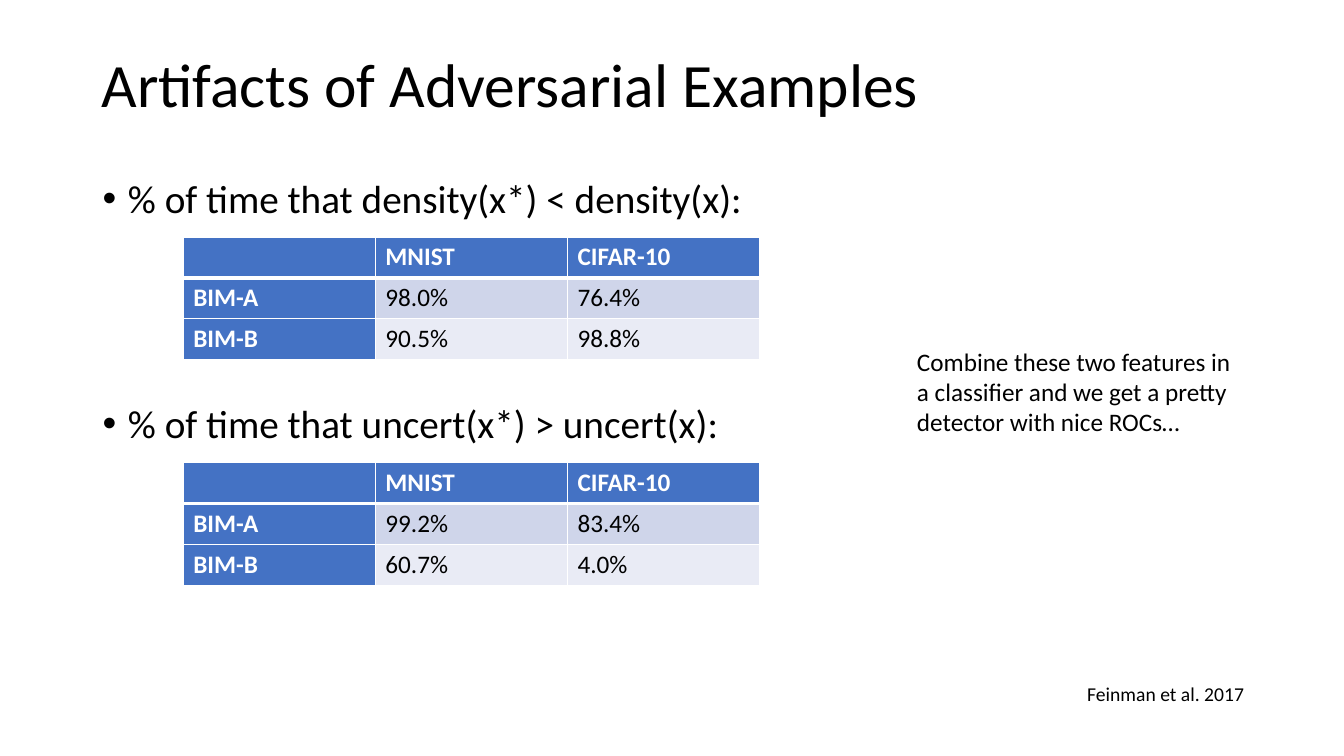
from dataclasses import dataclass

from lxml import etree
from pptx import Presentation, util as u
from pptx.dml.color import RGBColor
from pptx.enum import text as t
from pptx.oxml.ns import qn

FONT = "Calibri"
BLACK, WHITE, BLUE = "000000", "FFFFFF", "4472C4"
BANDS = ("CFD5EA", "E9EBF5")
COLUMN_WIDTH, ROW_HEIGHT = 4.84, 1.03
TABLE_LEFT = 4.62


@dataclass(frozen=True)
class Caption:
    words: str
    left: float
    top: float
    width: float
    height: float
    size: int
    anchor: t.MSO_ANCHOR = t.MSO_ANCHOR.TOP
    line_spacing: float = 1.0


@dataclass(frozen=True)
class Finding:
    """A bulleted claim and the table of rates that backs it."""
    claim: str
    space_before: float
    table_top: float
    rates: tuple[tuple[str, str, str], ...]


HEADER = ("", "MNIST", "CIFAR-10")
FINDINGS = (
    Finding("% of time that density(x*) < density(x):", 10, 5.97,
            (("BIM-A", "98.0%", "76.4%"), ("BIM-B", "90.5%", "98.8%"))),
    Finding("% of time that uncert(x*) > uncert(x):", 130.5, 11.66,
            (("BIM-A", "99.2%", "83.4%"), ("BIM-B", "60.7%", "4.0%"))),
)
TITLE = Caption("Artifacts of Adversarial Examples", 2.31, 0.36, 21.44, 3.68, 44,
                t.MSO_ANCHOR.MIDDLE, 0.9)
CITATION = Caption("Feinman et al. 2017", 27.15, 17.07, 6.12, 0.86, 14)
CONCLUSION = Caption("Combine these two features in a classifier and we get a pretty "
                     "detector with nice ROCs…", 22.86, 8.59, 8.56, 2.57, 18)


def rgb(hex_color: str) -> RGBColor:
    return RGBColor.from_string(hex_color)


def add_run(paragraph, words: str, size: float, color: str = BLACK, bold: bool = False) -> None:
    run = paragraph.add_run()
    run.text = words
    run.font.name, run.font.size, run.font.bold = FONT, u.Pt(size), bold
    run.font.color.rgb = rgb(color)


def add_frame(slide, left: float, top: float, width: float, height: float):
    """Add a wrapping text box and return its text frame."""
    frame = slide.shapes.add_textbox(u.Cm(left), u.Cm(top), u.Cm(width), u.Cm(height)).text_frame
    frame.word_wrap = True
    return frame


def add_caption(slide, caption: Caption) -> None:
    frame = add_frame(slide, caption.left, caption.top, caption.width, caption.height)
    frame.vertical_anchor = caption.anchor
    paragraph = frame.paragraphs[0]
    paragraph.line_spacing = caption.line_spacing
    add_run(paragraph, caption.words, caption.size)


def set_bullet(paragraph) -> None:
    properties = paragraph._p.get_or_add_pPr()
    indent = u.Cm(0.635)
    properties.set("marL", str(indent))
    properties.set("indent", str(-indent))
    etree.SubElement(properties, qn("a:buFont"), typeface="Arial")
    etree.SubElement(properties, qn("a:buChar"), char="•")


def add_claims(slide, findings: tuple[Finding, ...]) -> None:
    frame = add_frame(slide, 2.34, 4.39, 19.79, 13.54)
    for index, finding in enumerate(findings):
        paragraph = frame.add_paragraph() if index else frame.paragraphs[0]
        paragraph.line_spacing = 0.9
        paragraph.space_before = u.Pt(finding.space_before)
        set_bullet(paragraph)
        add_run(paragraph, finding.claim, 28)


def set_border(cell, side: str, points: float) -> None:
    line = etree.SubElement(cell._tc.get_or_add_tcPr(), qn(f"a:ln{side}"), w=str(u.Pt(points)))
    fill = etree.SubElement(line, qn("a:solidFill"))
    etree.SubElement(fill, qn("a:srgbClr"), val=WHITE)


def add_rates(slide, finding: Finding) -> None:
    rows = (HEADER, *finding.rates)
    table = slide.shapes.add_table(
        len(rows), len(HEADER), u.Cm(TABLE_LEFT), u.Cm(finding.table_top),
        u.Cm(COLUMN_WIDTH * len(HEADER)), u.Cm(ROW_HEIGHT * len(rows))).table
    table.first_col = True
    for column in table.columns:
        column.width = u.Cm(COLUMN_WIDTH)
    for row_index, row in enumerate(rows):
        table.rows[row_index].height = u.Cm(ROW_HEIGHT)
        for column_index, words in enumerate(row):
            cell = table.cell(row_index, column_index)
            is_heading = row_index == 0 or column_index == 0
            borders = {"L": 1, "R": 1, "T": 3 if row_index == 1 else 1,
                       "B": 3 if row_index == 0 else 1}
            for side, points in borders.items():
                set_border(cell, side, points)
            cell.fill.solid()
            cell.fill.fore_color.rgb = rgb(BLUE if is_heading else BANDS[row_index - 1])
            if words:
                add_run(cell.text_frame.paragraphs[0], words, 18,
                        WHITE if is_heading else BLACK, is_heading)


def main() -> None:
    deck = Presentation()
    deck.slide_width, deck.slide_height = u.Cm(33.87), u.Cm(19.05)
    slide = deck.slides.add_slide(deck.slide_layouts[6])
    add_caption(slide, TITLE)
    add_claims(slide, FINDINGS)
    for finding in FINDINGS:
        add_rates(slide, finding)
    for caption in (CITATION, CONCLUSION):
        add_caption(slide, caption)
    deck.save("out.pptx")


if __name__ == "__main__":
    main()
